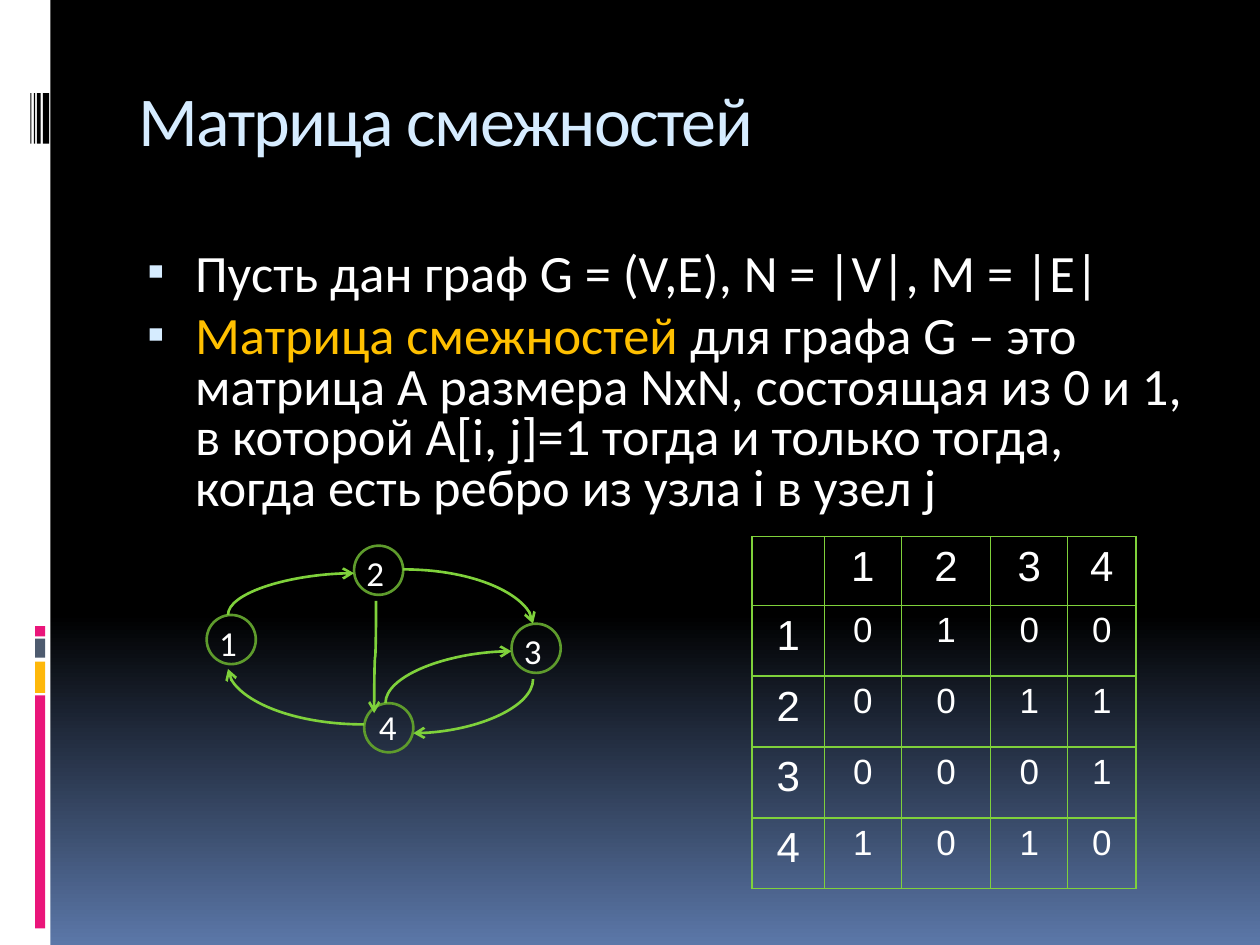
from copy import deepcopy
from dataclasses import dataclass

from lxml import etree
from pptx import Presentation
from pptx.dml.color import RGBColor
from pptx.enum.shapes import MSO_CONNECTOR, MSO_SHAPE
from pptx.enum.text import MSO_ANCHOR, PP_ALIGN
from pptx.oxml.ns import qn
from pptx.util import Pt

RECTANGLE, ELLIPSE = MSO_SHAPE.RECTANGLE, MSO_SHAPE.OVAL
CURVE = MSO_CONNECTOR.CURVE
LEFT, CENTER, TOP = PP_ALIGN.LEFT, PP_ALIGN.CENTER, MSO_ANCHOR.TOP
TITLE_ONLY = 5


@dataclass(frozen=True)
class Theme:
    font: str = "Calibri"
    table_font: str = "Arial"
    title_size: int = 40
    body_size: int = 30
    header_size: int = 24
    small_size: int = 20
    white: str = "FFFFFF"
    black: str = "000000"
    blue: str = "5B77A8"
    pale_blue: str = "D6ECFF"
    slate: str = "4E5B6F"
    pink: str = "EA157A"
    amber: str = "FEB80A"
    highlight: str = "FFC000"
    green: str = "7FD13B"
    dark_green: str = "5E9B2C"


def apply(target, values):
    for name, value in values.items():
        setattr(target, name, value)


def add_xml(parent, tag, **attributes):
    return etree.SubElement(parent, qn(tag), attributes)


class SlideBuilder:
    def __init__(self, slide, theme):
        self.slide, self.theme = slide, theme

    def background(self, stops):
        fill = self.slide.background.fill
        fill.gradient()
        fill.gradient_angle = 270
        stop_list = fill.gradient_stops[0]._gs.getparent()
        while len(stop_list) < len(stops):
            stop_list.append(deepcopy(stop_list[0]))
        for stop, (position, color) in zip(fill.gradient_stops, stops):
            stop.position = position
            stop.color.rgb = RGBColor.from_string(color)

    def add_text(self, paragraph, text, size, color, font=None):
        run = paragraph.add_run()
        run.text = text
        apply(run.font, {"size": Pt(size), "name": font or self.theme.font})
        run.font.color.rgb = RGBColor.from_string(color)
        return run

    def title(self, text, box):
        shape = self.slide.shapes.title
        apply(shape, dict(zip(("left", "top", "width", "height"), map(Pt, box))))
        shape.text_frame.vertical_anchor = TOP
        paragraph = shape.text_frame.paragraphs[0]
        paragraph.alignment = LEFT
        run = self.add_text(paragraph, text, self.theme.title_size, self.theme.pale_blue)
        run._r.get_or_add_rPr().set("spc", "-100")

    def shape(self, kind, box, fill=None, line=None):
        shape = self.slide.shapes.add_shape(kind, *map(Pt, box))
        shape.shadow.inherit = False
        if fill:
            shape.fill.solid()
            shape.fill.fore_color.rgb = RGBColor.from_string(fill)
        else:
            shape.fill.background()
        if line:
            shape.line.width = Pt(1.5)
            shape.line.color.rgb = RGBColor.from_string(line)
        else:
            shape.line.fill.background()

    def label(self, text, box):
        frame = self.slide.shapes.add_textbox(*map(Pt, box)).text_frame
        self.add_text(frame.paragraphs[0], text, self.theme.small_size, self.theme.white)

    def bullets(self, items, box):
        """Each item is a list of (text, color) runs."""
        frame = self.slide.shapes.add_textbox(*map(Pt, box)).text_frame
        frame.word_wrap = True
        for index, runs in enumerate(items):
            paragraph = frame.add_paragraph() if index else frame.paragraphs[0]
            apply(paragraph, {"line_spacing": 0.8, "space_before": Pt(7)})
            properties = paragraph._p.get_or_add_pPr()
            properties.set("marL", str(Pt(32.4)))
            properties.set("indent", str(Pt(-27.4)))
            bullet_color = add_xml(properties, "a:buClr")
            add_xml(bullet_color, "a:srgbClr", val=self.theme.pale_blue)
            add_xml(properties, "a:buSzPct", val="95000")
            add_xml(properties, "a:buFont", typeface="Arial")
            add_xml(properties, "a:buChar", char="▪")
            for text, color in runs:
                self.add_text(paragraph, text, self.theme.body_size, color)

    def arrow(self, start, end, preset, vertical_start):
        """Curve from start to end; a vertical start needs a frame turned by 90 degrees."""
        (x1, y1), (x2, y2) = start, end
        if vertical_start:
            center_x, center_y = (x1 + x2) / 2, (y1 + y2) / 2
            half_width, half_height = (y2 - y1) / 2, (x1 - x2) / 2
            x1, x2 = center_x - half_width, center_x + half_width
            y1, y2 = center_y - half_height, center_y + half_height
        connector = self.slide.shapes.add_connector(CURVE, *map(Pt, (x1, y1, x2, y2)))
        connector.line.width = Pt(1.5)
        connector.line.color.rgb = RGBColor.from_string(self.theme.green)
        properties = connector._element.spPr
        properties.find(qn("a:prstGeom")).set("prst", preset)
        if vertical_start:
            properties.find(qn("a:xfrm")).set("rot", "5400000")
        add_xml(properties.find(qn("a:ln")), "a:tailEnd", type="arrow")
        add_xml(properties, "a:effectLst")

    def borders(self, cell):
        properties = cell._tc.get_or_add_tcPr()
        for index, side in enumerate(("a:lnL", "a:lnR", "a:lnT", "a:lnB")):
            line = etree.Element(qn(side), w=str(Pt(1)))
            add_xml(add_xml(line, "a:solidFill"), "a:srgbClr", val=self.theme.green)
            properties.insert(index, line)

    def matrix(self, values, left, top, widths, heights):
        """Draw an adjacency matrix with numbered header row and column."""
        size = len(values)
        numbers = list(range(1, size + 1))
        rows = [["", *numbers]] + [[n, *row] for n, row in zip(numbers, values)]
        table = self.slide.shapes.add_table(
            size + 1, size + 1, Pt(left), Pt(top), Pt(sum(widths)), Pt(sum(heights))).table
        apply(table, {"first_row": False, "horz_banding": False})
        for column, width in zip(table.columns, widths):
            column.width = Pt(width)
        for row, height in zip(table.rows, heights):
            row.height = Pt(height)
        margins = {"margin_left": Pt(5), "margin_right": Pt(5), "margin_top": 0, "margin_bottom": 0}
        for i, row in enumerate(rows):
            for j, value in enumerate(row):
                cell = table.cell(i, j)
                cell.fill.background()
                self.borders(cell)
                apply(cell, margins)
                paragraph = cell.text_frame.paragraphs[0]
                apply(paragraph, {"alignment": CENTER, "line_spacing": 1.15})
                if value != "":
                    text_size = self.theme.small_size if i and j else self.theme.header_size
                    self.add_text(paragraph, str(value), text_size, self.theme.white,
                                  self.theme.table_font)


theme = Theme()
presentation = Presentation()
presentation.slide_width, presentation.slide_height = Pt(720), Pt(540)
slide = presentation.slides.add_slide(presentation.slide_layouts[TITLE_ONLY])
builder = SlideBuilder(slide, theme)
builder.background([(0, theme.black), (0.65, theme.black), (1, theme.blue)])

builder.shape(RECTANGLE, (0, 0, 28.8, 540), theme.white)
for top, height, color in ((397.4, 133.2, theme.pink), (378, 18, theme.amber),
                           (365, 10.8, theme.slate), (357.8, 5.8, theme.pink)):
    builder.shape(RECTANGLE, (20, top, 5.8, height), color)
for left, width in ((24.5, 3.6), (21.1, 2.2), (19.4, 0.7), (17.3, 0.7)):
    builder.shape(RECTANGLE, (left, 53.3, width, 28.8), theme.black)

builder.title("Матрица смежностей", (72, 40.3, 612, 72))
builder.bullets([
    [("Пусть дан граф G = (V,E), N = |V|, M = |E|", theme.white)],
    [("Матрица смежностей ", theme.highlight),
     ("для графа G – это матрица A размера NхN, состоящая из 0 и 1, в которой "
      "A[i, j]=1 тогда и только тогда, когда есть ребро из узла i в узел j", theme.white)],
], (72, 140.4, 612, 360))

nodes = {"1": (118.1, 351.4), "2": (202.3, 311.8), "3": (292.3, 356.4), "4": (208.1, 401.8)}
label_shifts = {"4": (1.4, -2.2)}
for name, (left, top) in nodes.items():
    builder.shape(ELLIPSE, (left, top, 28.1, 28.1), line=theme.dark_green)
    shift_x, shift_y = label_shifts.get(name, (0, 0))
    builder.label(name, (left + shift_x, top + shift_y, 24.5, 31.7))

QUARTER, S_CURVE = "curvedConnector2", "curvedConnector3"
for edge in (
    ((130.3, 351.4), (202.3, 327.6), QUARTER, True),
    ((304.6, 388.1), (236.2, 419), QUARTER, True),
    ((214.9, 343.4), (213.8, 407.5), S_CURVE, True),
    ((220.3, 401.8), (292.3, 372.2), QUARTER, True),
    ((208.1, 414), (130.3, 382.3), QUARTER, False),
    ((230.4, 325.4), (304.6, 356.4), QUARTER, False),
):
    builder.arrow(*edge)

adjacency = [[0, 1, 0, 0], [0, 0, 1, 1], [0, 0, 0, 1], [1, 0, 1, 0]]
builder.matrix(adjacency, 429.8, 306.7, (41.3, 44, 51.1, 44, 38.9), (39.2, *[40.5] * 4))

presentation.save("out.pptx")
